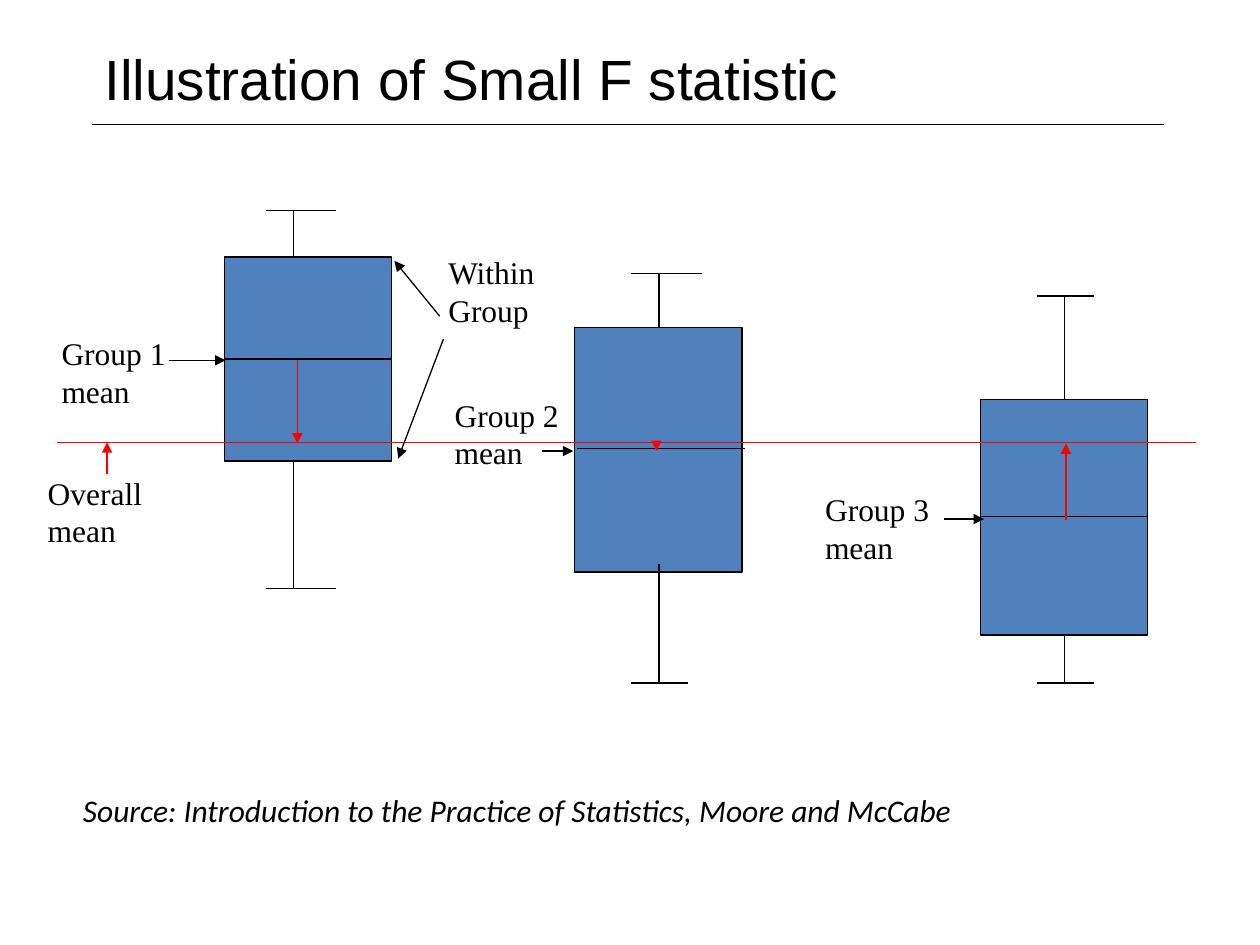
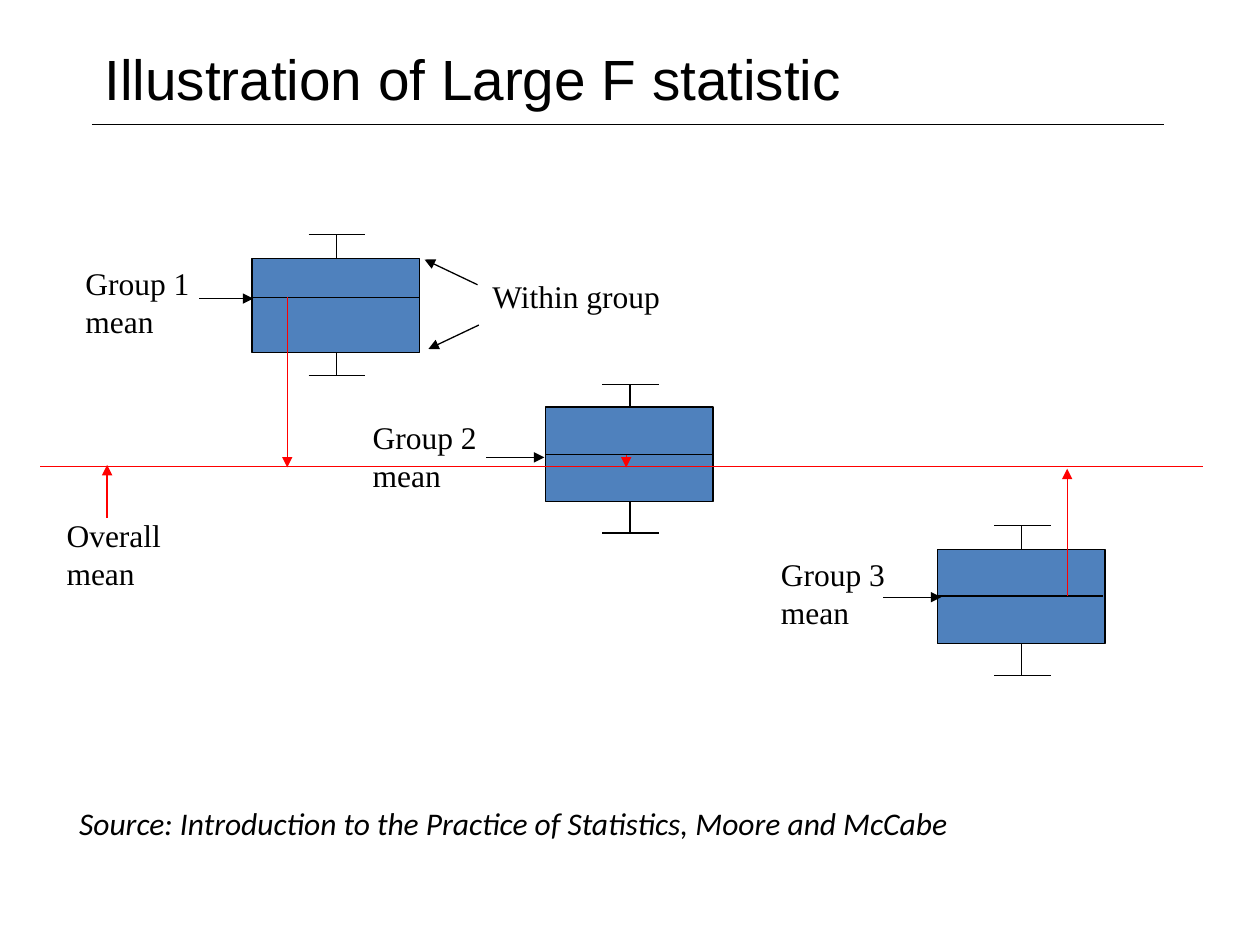
from dataclasses import dataclass

from lxml.etree import SubElement
from pptx import Presentation
from pptx.dml.color import RGBColor
from pptx.enum.shapes import MSO_CONNECTOR, MSO_SHAPE
from pptx.enum.text import MSO_ANCHOR, MSO_AUTO_SIZE
from pptx.oxml.ns import qn
from pptx.util import Emu, Pt


# Theme: colours, line widths and type styles
class Theme:
    black = RGBColor(0x00, 0x00, 0x00)
    red = RGBColor(0xFF, 0x00, 0x00)
    blue = RGBColor(0x4F, 0x81, 0xBD)
    thin = Pt(0.25)
    normal = Pt(0.75)
    title = {"name": "Arial", "size": Pt(32.4)}
    label = {"name": "Times New Roman", "size": Pt(18)}
    source = {"name": "Calibri", "size": Pt(18), "italic": True}


PX = 9144  # 100 px to the inch
BOX_WIDTH = 133
CAP_OVERHANG = 22
SOURCE_TEXT = "Source: Introduction to the Practice of Statistics, Moore and McCabe"


@dataclass
class Group:
    left: int
    top: int
    bottom: int
    mean: int
    high: int
    low: int
    label: tuple        # left, top, width
    pointer: tuple      # start x, end x, y
    deviation: tuple    # x, start y, end y
    whisker_offset: int = 67
    whisker_overlap: int = 0
    high_cap: int = 45
    low_cap: int = 45
    mean_shift: int = 0


def draw_line(slide, x1, y1, x2, y2, color=Theme.black, width=Theme.normal, arrow=False):
    connector = slide.shapes.add_connector(
        MSO_CONNECTOR.STRAIGHT, *(Emu(value * PX) for value in (x1, y1, x2, y2)))
    connector.line.color.rgb = color
    connector.line.width = width
    properties = connector.element.spPr
    if arrow:
        SubElement(properties.find(qn("a:ln")), qn("a:tailEnd"), type="triangle")
    SubElement(properties, qn("a:effectLst"))


def draw_text(slide, text, left, top, width, height, style, wrap=True,
              anchor=MSO_ANCHOR.TOP, auto_size=MSO_AUTO_SIZE.SHAPE_TO_FIT_TEXT):
    shape = slide.shapes.add_textbox(*(Emu(value * PX) for value in (left, top, width, height)))
    frame_format = {"text": text, "word_wrap": wrap, "vertical_anchor": anchor,
                    "auto_size": auto_size}
    for name, value in frame_format.items():
        setattr(shape.text_frame, name, value)
    for paragraph in shape.text_frame.paragraphs:
        for run in paragraph.runs:
            run.font.color.rgb = Theme.black
            for name, value in style.items():
                setattr(run.font, name, value)


# Content of the two slides
slides_content = [
    {
        "title": "Illustration of Small F statistic",
        "source": (56, 623, 893, 40),
        "groups": [
            Group(178, 204, 366, 285, 167, 467, (39, 260, 103), (134, 179, 286),
                  (236, 286, 352), whisker_offset=55, high_cap=56, low_cap=56),
            Group(456, 260, 454, 356, 217, 542, (351, 309, 103), (430, 455, 358),
                  (521, 350, 358), whisker_overlap=6, high_cap=56, mean_shift=2),
            Group(778, 317, 504, 410, 235, 542, (645, 384, 103), (749, 781, 412),
                  (846, 413, 352)),
        ],
        "overall_line": (45, 351, 949, 351),
        "overall_arrow": (85, 376, 85, 351),
        "notes": [("Overall\vmean", 28, 371, 98, 70), ("Within\nGroup", 346, 196, 93, 70)],
        "within_arrows": [(349, 251, 313, 207), (352, 269, 316, 364)],
    },
    {
        "title": "Illustration of Large F statistic",
        "source": (53, 633, 902, 40),
        "groups": [
            Group(200, 205, 280, 236, 186, 298, (58, 205, 110), (158, 201, 237),
                  (228, 236, 371)),
            Group(433, 323, 398, 361, 305, 423, (286, 327, 117), (386, 432, 363),
                  (497, 361, 371)),
            Group(744, 436, 511, 473, 417, 536, (610, 436, 110), (701, 747, 474),
                  (847, 473, 372), mean_shift=-2),
        ],
        "overall_line": (32, 370, 955, 370),
        "overall_arrow": (85, 411, 85, 369),
        "notes": [("Overall\nmean", 43, 405, 98, 70), ("Within group", 381, 215, 156, 40)],
        "within_arrows": [(379, 226, 337, 206), (380, 258, 340, 277)],
    },
]

presentation = Presentation()
presentation.slide_width = Emu(1000 * PX)
presentation.slide_height = Emu(750 * PX)

for content in slides_content:
    slide = presentation.slides.add_slide(presentation.slide_layouts[6])

    # Title with its rule, and the source
    draw_line(slide, 73, 99, 924, 99, width=Theme.thin)
    draw_text(slide, content["title"], 73, 29, 679, 66, Theme.title,
              anchor=MSO_ANCHOR.MIDDLE, auto_size=MSO_AUTO_SIZE.NONE)
    draw_text(slide, SOURCE_TEXT, *content["source"], Theme.source)

    # Box plots
    for number, group in enumerate(content["groups"], start=1):
        bounds = (group.left, group.top, BOX_WIDTH, group.bottom - group.top)
        box = slide.shapes.add_shape(MSO_SHAPE.RECTANGLE, *(Emu(value * PX) for value in bounds))
        box.shadow.inherit = False
        box.fill.solid()
        box.fill.fore_color.rgb = Theme.blue
        box.line.color.rgb = Theme.black
        box.line.width = Theme.normal

        mean_left = group.left + group.mean_shift
        draw_line(slide, mean_left, group.mean, mean_left + BOX_WIDTH, group.mean)

        whisker = group.left + group.whisker_offset
        cap_left = whisker - CAP_OVERHANG
        for start, end, cap in ((group.top, group.high, group.high_cap),
                                (group.bottom - group.whisker_overlap, group.low, group.low_cap)):
            draw_line(slide, whisker, start, whisker, end)
            draw_line(slide, cap_left, end, cap_left + cap, end)

        draw_text(slide, f"Group {number}\nmean", *group.label, 70, Theme.label, wrap=False)
        pointer_start, pointer_end, pointer_y = group.pointer
        draw_line(slide, pointer_start, pointer_y, pointer_end, pointer_y, arrow=True)

    # Overall mean and each group's distance from it
    draw_line(slide, *content["overall_line"], color=Theme.red)
    draw_line(slide, *content["overall_arrow"], color=Theme.red, arrow=True)
    for group in content["groups"]:
        x, start, end = group.deviation
        draw_line(slide, x, start, x, end, color=Theme.red, arrow=True)

    # Notes and arrows for the spread within a group
    for text, *bounds in content["notes"]:
        draw_text(slide, text, *bounds, Theme.label, wrap=False)
    for ends in content["within_arrows"]:
        draw_line(slide, *ends, arrow=True)

presentation.save("out.pptx")
